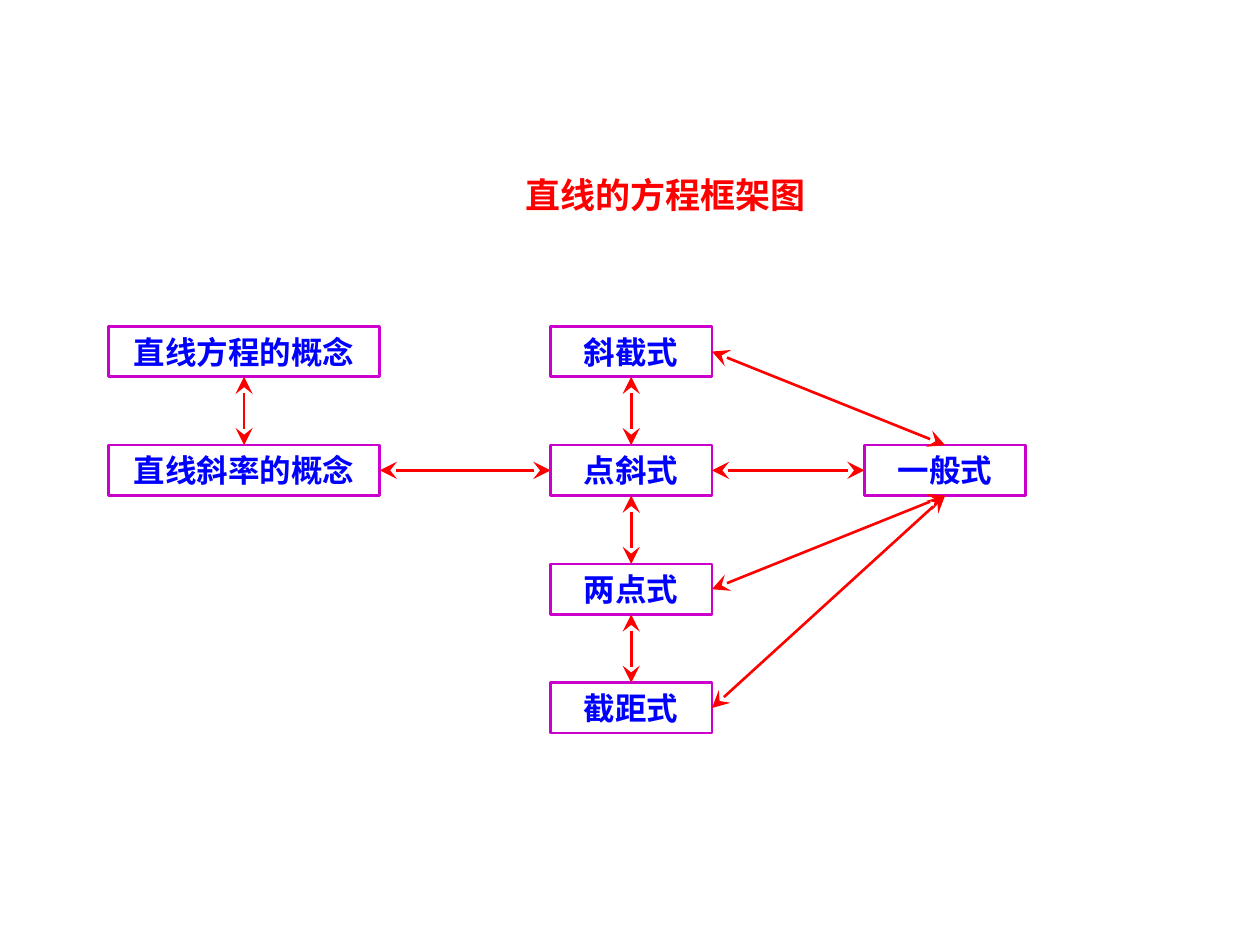
from lxml import etree
from pptx import Presentation
from pptx.dml.color import RGBColor
from pptx.enum import shapes, text
from pptx.oxml import ns
from pptx.util import Pt

FONT = "Noto Sans CJK SC"
COLORS = {"title": "FF0000", "label": "0000FF", "border": "CC00CC", "arrow": "FF0000"}

TOP, ROW_PITCH, BOX_HEIGHT = 186.5, 67.9, 28.8
COLUMNS = {"concept": (62, 155), "form": (314.6, 92.2), "general": (494, 92.2)}  # left, width
BOXES = [
    ("直线方程的概念", "concept", 0),
    ("直线斜率的概念", "concept", 1),
    ("斜截式", "form", 0),
    ("点斜式", "form", 1),
    ("两点式", "form", 2),
    ("截距式", "form", 3),
    ("一般式", "general", 1),
]

# Connection sites of a rectangle
UP, LEFT, DOWN, RIGHT = range(4)
LINKS = [
    ("直线方程的概念", DOWN, "直线斜率的概念", UP),
    ("直线斜率的概念", RIGHT, "点斜式", LEFT),
    ("斜截式", DOWN, "点斜式", UP),
    ("点斜式", DOWN, "两点式", UP),
    ("两点式", DOWN, "截距式", UP),
    ("点斜式", RIGHT, "一般式", LEFT),
    ("两点式", RIGHT, "一般式", DOWN),
    ("截距式", RIGHT, "一般式", DOWN),
    ("斜截式", RIGHT, "一般式", UP),
]


def rgb(name):
    return RGBColor.from_string(COLORS[name])


def write(sp, content, *, size, color, anchor, spacing=1.0):
    tf = sp.text_frame
    tf.word_wrap = True
    tf.auto_size = text.MSO_AUTO_SIZE.NONE
    tf.vertical_anchor = anchor
    p = tf.paragraphs[0]
    p.alignment = text.PP_ALIGN.CENTER
    p.line_spacing = spacing
    r = p.add_run()
    r.text = content
    r.font.size = Pt(size)
    r.font.bold = True
    r.font.color.rgb = rgb(color)
    r.font.name = FONT
    etree.SubElement(r._r.get_or_add_rPr(), ns.qn("a:ea"), typeface=FONT)


def add_title(s, content):
    sp = s.shapes.title
    sp.left, sp.top, sp.width, sp.height = Pt(121.7), Pt(85.7), Pt(517.7), Pt(41)
    write(sp, content, size=20, color="title", anchor=text.MSO_ANCHOR.TOP, spacing=1.4)


def add_box(s, label, column, row):
    left, width = COLUMNS[column]
    sp = s.shapes.add_shape(shapes.MSO_SHAPE.RECTANGLE, Pt(left), Pt(TOP + row * ROW_PITCH),
                            Pt(width), Pt(BOX_HEIGHT))
    sp.shadow.inherit = False
    sp.fill.background()
    sp.line.color.rgb = rgb("border")
    sp.line.width = Pt(1.5)
    write(sp, label, size=18, color="label", anchor=text.MSO_ANCHOR.MIDDLE)
    return sp


def add_double_arrow(s, start, start_site, end, end_site):
    line = s.shapes.add_connector(shapes.MSO_CONNECTOR.STRAIGHT, 0, 0, 0, 0)
    line.begin_connect(start, start_site)
    line.end_connect(end, end_site)
    line.line.color.rgb = rgb("arrow")
    line.line.width = Pt(1.5)
    ln = line.line._get_or_add_ln()
    for tag in ("a:headEnd", "a:tailEnd"):
        etree.SubElement(ln, ns.qn(tag), type="stealth", w="lg", len="lg")
    etree.SubElement(line._element.spPr, ns.qn("a:effectLst"))


def main():
    prs = Presentation()
    prs.slide_width, prs.slide_height = Pt(720), Pt(540)
    s = prs.slides.add_slide(prs.slide_layouts[5])
    add_title(s, "直线的方程框架图")
    boxes = {label: add_box(s, label, column, row) for label, column, row in BOXES}
    for start, start_site, end, end_site in LINKS:
        add_double_arrow(s, boxes[start], start_site, boxes[end], end_site)
    prs.save("out.pptx")


if __name__ == "__main__":
    main()
